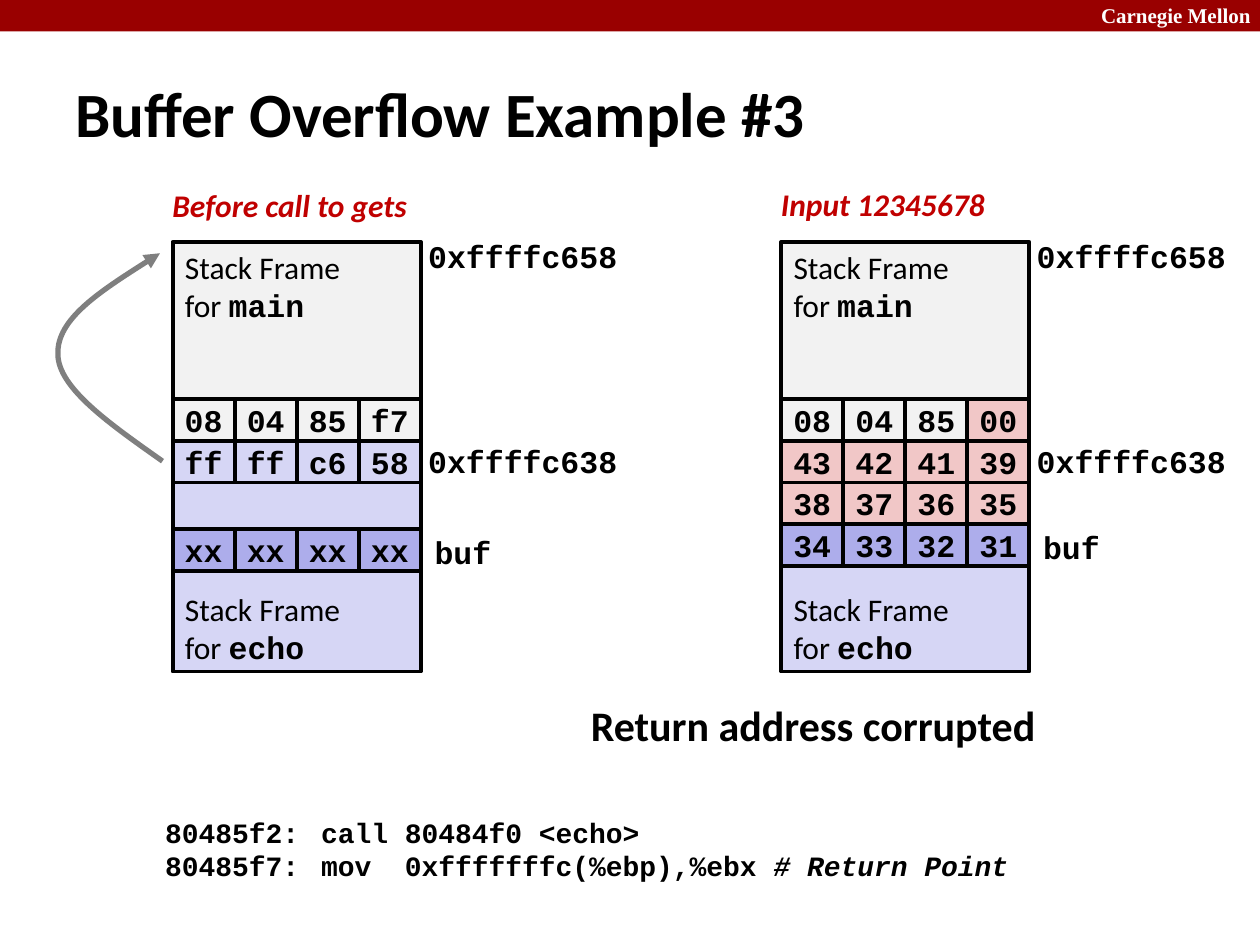
import pptx
import pptx.dml.color
import pptx.enum.shapes
import pptx.enum.text
import pptx.oxml
import pptx.oxml.ns
import pptx.util
from lxml import etree

Inches = pptx.util.Inches
Pt = pptx.util.Pt
ANCHOR = pptx.enum.text.MSO_ANCHOR
ALIGN = pptx.enum.text.PP_ALIGN
qn = pptx.oxml.ns.qn

COLORS = {
    "banner": "990000",
    "white": "FFFFFF",
    "black": "000000",
    "heading": "C00000",
    "main": "F2F2F2",
    "echo": "D6D6F5",
    "buf": "ADADEB",
    "overwritten": "F1C7C7",
    "arrow": "7F7F7F",
}
SANS = "Calibri"
MONO = "Courier New"
FRAME_W = 1.97
CELL_W = FRAME_W / 4
CELL_H = 0.33
MAIN_TOP, MAIN_H = 1.92, 1.25
ROWS_TOP = MAIN_TOP + MAIN_H
ECHO_TOP, ECHO_H = 3.83, 1.5


def rgb(name):
    return pptx.dml.color.RGBColor.from_string(COLORS[name])


def set_font(font, size, name=SANS, color="black", bold=True, italic=False):
    font.size = Pt(size)
    font.name = name
    font.bold = bold
    font.italic = italic
    font.color.rgb = rgb(color)


def add_text(s, x, y, w, h, text, size, wrap=False, **style):
    tf = s.shapes.add_textbox(Inches(x), Inches(y), Inches(w), Inches(h)).text_frame
    tf.word_wrap = wrap
    tf.auto_size = pptx.enum.text.MSO_AUTO_SIZE.SHAPE_TO_FIT_TEXT
    p = tf.paragraphs[0]
    p.text = text
    set_font(p.font, size, **style)
    return tf


def add_box(s, x, y, w, h, fill, outlined=True):
    sp = s.shapes.add_shape(
        pptx.enum.shapes.MSO_SHAPE.RECTANGLE, Inches(x), Inches(y), Inches(w), Inches(h))
    sp.shadow.inherit = False
    sp.fill.solid()
    sp.fill.fore_color.rgb = rgb(fill)
    if outlined:
        sp.line.color.rgb = rgb("black")
        sp.line.width = Pt(2.25)
    else:
        sp.line.fill.background()
    return sp


def add_frame(s, x, y, h, function, anchor):
    tf = add_box(s, x, y, FRAME_W, h, function).text_frame
    tf.word_wrap = False
    tf.vertical_anchor = anchor
    p = tf.paragraphs[0]
    p.text = "Stack Frame"
    p.alignment = ALIGN.LEFT
    set_font(p.font, 18, bold=False)
    p = tf.add_paragraph()
    p.alignment = ALIGN.LEFT
    for text, name, bold in (("for ", SANS, False), (function, MONO, True)):
        r = p.add_run()
        r.text = text
        set_font(r.font, 18, name, bold=bold)


def add_byte_row(s, x, y, values, fills):
    for i, (value, fill) in enumerate(zip(values.split(), fills)):
        tf = add_box(s, x + i * CELL_W, y, CELL_W, CELL_H, fill).text_frame
        tf.word_wrap = False
        tf.vertical_anchor = ANCHOR.MIDDLE
        p = tf.paragraphs[0]
        p.text = value
        p.alignment = ALIGN.CENTER
        set_font(p.font, 18, MONO)


def add_stack(s, x, heading, heading_y, rows, buf_y):
    """Draw one stack; rows holds (top, byte values, fill of each cell)."""
    add_text(s, x - 0.1, heading_y, 2.1, 0.4, heading, 18, color="heading", italic=True)
    add_frame(s, x, MAIN_TOP, MAIN_H, "main", ANCHOR.TOP)
    add_frame(s, x, ECHO_TOP, ECHO_H, "echo", ANCHOR.BOTTOM)
    for y, values, fills in rows:
        add_byte_row(s, x, y, values, fills)
    for y, address in ((1.83, "0xffffc658"), (3.46, "0xffffc638")):
        add_text(s, x + 1.93, y, 1.7, 0.4, address, 18, name=MONO)
    add_text(s, x + 1.98, buf_y, 0.65, 0.4, "buf", 18, name=MONO)


def add_curved_arrow(s, start, *curve_points):
    """Draw Bezier curves through points taken three at a time."""
    points = [(Inches(x), Inches(y)) for x, y in curve_points]
    builder = s.shapes.build_freeform(Inches(start[0]), Inches(start[1]))
    builder.add_line_segments(points, close=False)
    sp = builder.convert_to_shape()
    sp.shadow.inherit = False
    sp.fill.background()
    sp.line.color.rgb = rgb("arrow")
    sp.line.width = Pt(3)
    geometry = next(sp._element.iter(qn("a:path")))
    segments = geometry.findall(qn("a:lnTo"))
    for i in range(0, len(segments), 3):
        curve = etree.SubElement(geometry, qn("a:cubicBezTo"))
        for segment in segments[i:i + 3]:
            curve.append(segment[0])
            geometry.remove(segment)
    etree.SubElement(sp.line._get_or_add_ln(), qn("a:tailEnd"), type="triangle")


def add_code(s):
    tf = s.shapes.add_textbox(
        Inches(1.08), Inches(6.42), Inches(7.25), Inches(0.64)).text_frame
    tf.word_wrap = True
    lines = (
        (" 80485f2:\tcall 80484f0 <echo>", ""),
        (" 80485f7:\tmov  0xfffffffc(%ebp),%ebx ", "# Return Point"),
    )
    for i, (code, comment) in enumerate(lines):
        p = tf.add_paragraph() if i else tf.paragraphs[0]
        tabs = etree.SubElement(p._p.get_or_add_pPr(), qn("a:tabLst"))
        etree.SubElement(tabs, qn("a:tab"), pos=str(Inches(1.37)), algn="l")
        set_font(p.font, 16, MONO)
        p.add_run().text = code
        if comment:
            r = p.add_run()
            r.text = comment
            r.font.italic = True


def main():
    prs = pptx.Presentation()
    prs.slide_width, prs.slide_height = Inches(10), Inches(7.5)
    s = prs.slides.add_slide(prs.slide_layouts[6])

    add_box(s, 0, 0, 10, 0.25, "banner", outlined=False)
    add_text(s, 8.64, -0.03, 1.43, 0.3, "Carnegie Mellon", 12, wrap=True,
             name="Times New Roman", color="white")
    title = add_text(s, 0.5, 0.58, 8.54, 0.63, "Buffer Overflow Example #3", 36, wrap=True)
    title.auto_size = pptx.enum.text.MSO_AUTO_SIZE.NONE
    title.vertical_anchor = ANCHOR.MIDDLE
    add_text(s, 4.59, 5.5, 3.75, 0.5, "Return address corrupted", 24)

    add_stack(s, 1.37, "Before call to gets", 1.43, (
        (ROWS_TOP, "08 04 85 f7", ["main"] * 4),
        (ROWS_TOP + CELL_H, "ff ff c6 58", ["echo"] * 4),
        (4.2, "xx xx xx xx", ["buf"] * 4),
    ), 4.18)
    add_stack(s, 6.2, "Input 12345678", 1.42, (
        (ROWS_TOP, "08 04 85 00", ["main"] * 3 + ["overwritten"]),
        (ROWS_TOP + CELL_H, "43 42 41 39", ["overwritten"] * 4),
        (ROWS_TOP + 2 * CELL_H, "38 37 36 35", ["overwritten"] * 4),
        (ROWS_TOP + 3 * CELL_H, "34 33 32 31", ["buf"] * 4),
    ), 4.14)
    add_curved_arrow(s, (1.29, 3.66), (0.88, 3.37), (0.46, 3.08), (0.46, 2.81),
                     (0.45, 2.53), (0.86, 2.27), (1.27, 2.01))
    add_code(s)
    prs.save("out.pptx")


if __name__ == "__main__":
    main()
